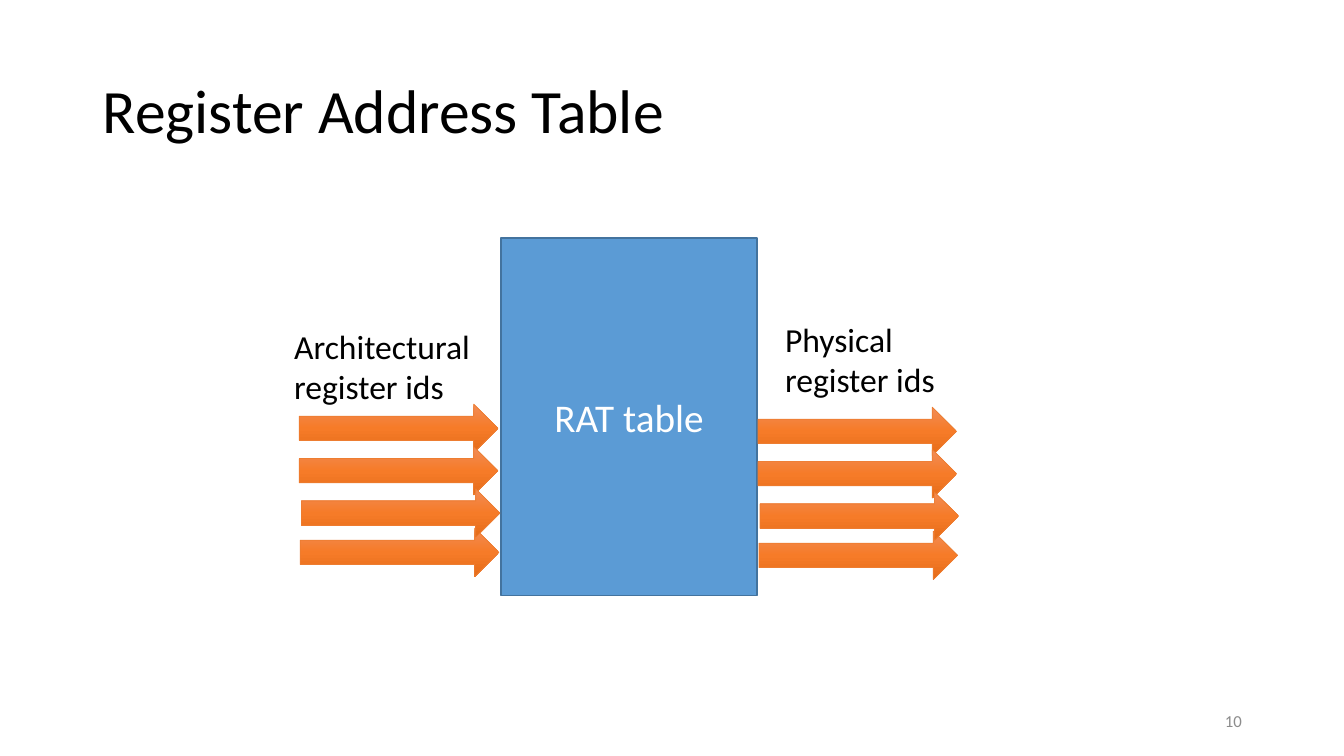
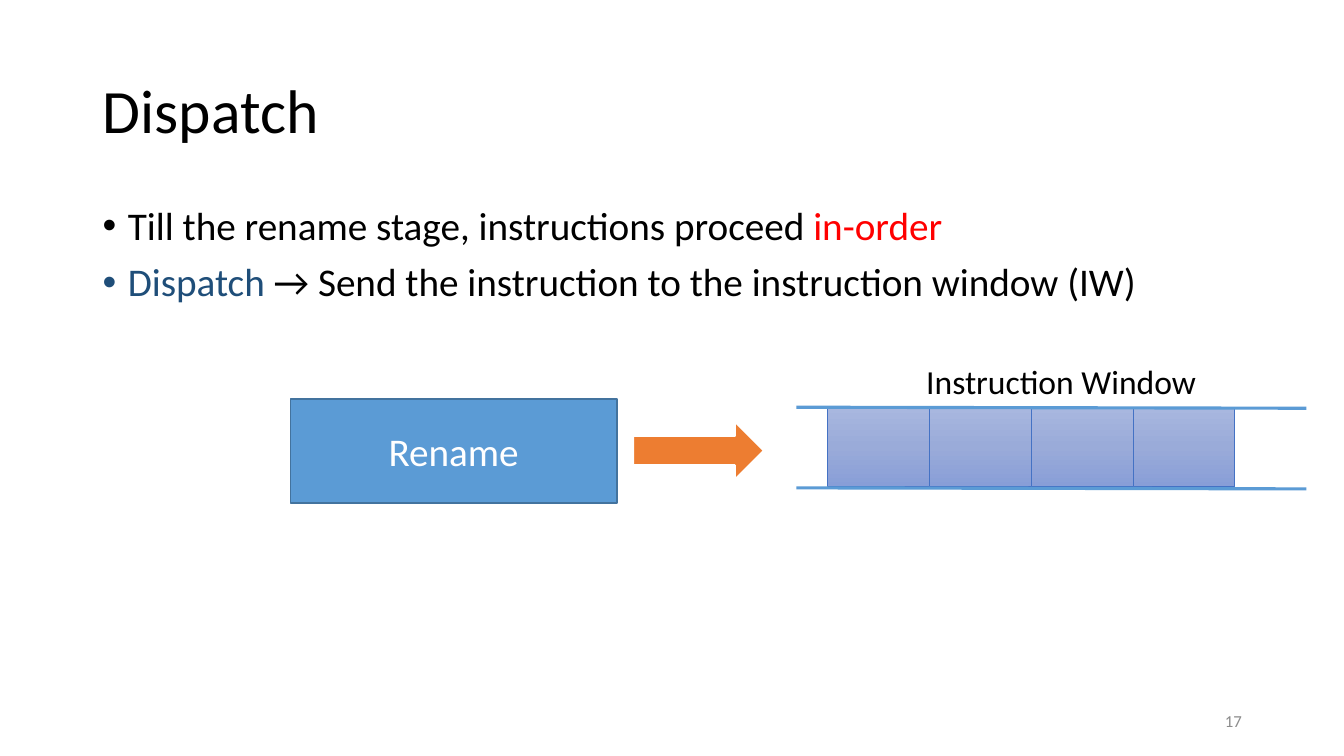
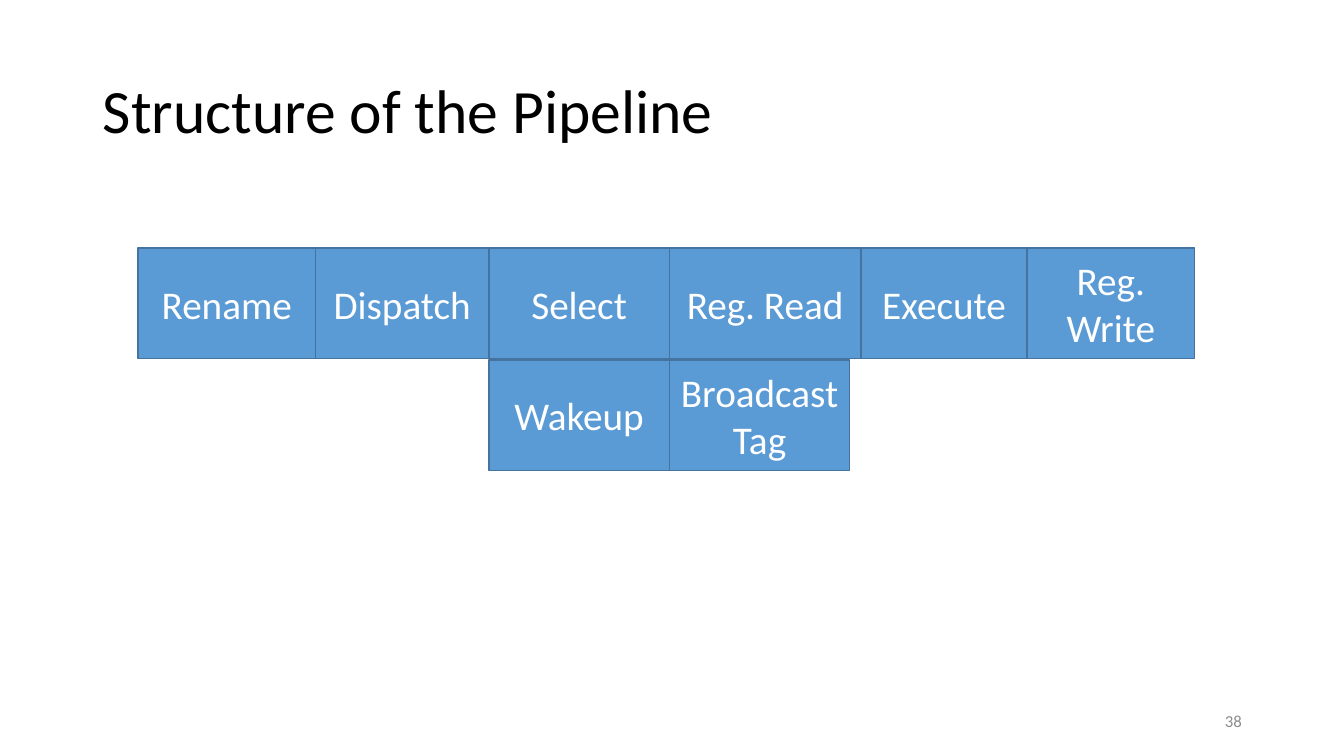
from dataclasses import dataclass

from lxml import etree
from pptx import Presentation
from pptx.dml.color import RGBColor
from pptx.enum.shapes import MSO_CONNECTOR, MSO_SHAPE
from pptx.enum.text import MSO_ANCHOR, MSO_AUTO_SIZE, PP_ALIGN
from pptx.oxml.ns import qn
from pptx.util import Emu, Pt

RECT = MSO_SHAPE.RECTANGLE
ARROW = MSO_SHAPE.RIGHT_ARROW
STRAIGHT = MSO_CONNECTOR.STRAIGHT
LEFT, CENTER, RIGHT = PP_ALIGN.LEFT, PP_ALIGN.CENTER, PP_ALIGN.RIGHT
TOP, MIDDLE = MSO_ANCHOR.TOP, MSO_ANCHOR.MIDDLE
NO_FIT, FIT_SHAPE = MSO_AUTO_SIZE.NONE, MSO_AUTO_SIZE.SHAPE_TO_FIT_TEXT

EMU_PER_PX = 9144
SLIDE_SIZE = Emu(12192000), Emu(6858000)


@dataclass(frozen=True)
class Theme:
    font: str = "Calibri"
    black: str = "000000"
    white: str = "FFFFFF"
    grey: str = "8C8C8C"
    red: str = "FF0000"
    navy: str = "1F4E79"
    blue: str = "5B9BD5"
    blue_edge: str = "43739E"
    orange: str = "ED7D31"
    cell_edge: str = "4472C4"
    orange_fade: tuple[str, ...] = ("F18C57", "F67B28", "E56C19")
    cell_fade: tuple[str, ...] = ("A8B7DF", "9AABD9", "889ED7")
    title_size: int = 44
    body_size: int = 28
    label_size: int = 24
    number_size: int = 12


THEME = Theme()


@dataclass(frozen=True)
class Box:
    x: int
    y: int
    w: int
    h: int

    def emu(self) -> list[Emu]:
        return [px(v) for v in (self.x, self.y, self.w, self.h)]


@dataclass(frozen=True)
class Style:
    fill: str | tuple[str, ...]
    edge: str
    width: float


@dataclass(frozen=True)
class Span:
    text: str
    color: str = THEME.black


@dataclass(frozen=True)
class Stage:
    text: str
    width: int


BLOCK = Style(THEME.blue, THEME.blue_edge, 1)
REGISTER_ARROW = Style(THEME.orange_fade, THEME.orange, 0.5)
DISPATCH_ARROW = Style(THEME.orange, THEME.white, 1.5)
WINDOW_CELL = Style(THEME.cell_fade, THEME.cell_edge, 0.5)

TITLE = Box(92, 40, 1150, 145)
BODY = Box(92, 200, 1150, 139)
NUMBER = Box(942, 695, 300, 40)

ARROW_OFFSETS = (0, 0), (0, 42), (1, 123), (2, 84)
STAGE_HEIGHT = 110
MAIN_STAGES = (
    Stage("Rename", 176),
    Stage("Dispatch", 172),
    Stage("Select", 179),
    Stage("Reg. Read", 190),
    Stage("Execute", 165),
    Stage("Reg. Write", 166),
)
LOWER_STAGES = Stage("Wakeup", 179), Stage("Broadcast\nTag", 179)


def px(value: int) -> Emu:
    return Emu(value * EMU_PER_PX)


def rgb(color: str) -> RGBColor:
    return RGBColor.from_string(color)


def add_span(p, span: Span, size: int) -> None:
    for i, line in enumerate(span.text.split("\n")):
        if i:
            p.add_line_break()
        r = p.add_run()
        r.text = line
        r.font.name = THEME.font
        r.font.size = Pt(size)
        r.font.color.rgb = rgb(span.color)


def write(tf, text: str, *, size: int, color: str = THEME.black, align=LEFT,
          anchor=MIDDLE, wrap: bool = True, fit=NO_FIT, spacing: float = 1.0) -> None:
    tf.word_wrap = wrap
    tf.auto_size = fit
    tf.vertical_anchor = anchor
    p = tf.paragraphs[0]
    p.alignment = align
    p.line_spacing = spacing
    add_span(p, Span(text, color), size)


def add_slide(prs, title: str, number: int):
    slide = prs.slides.add_slide(prs.slide_layouts[5])
    s = slide.shapes.title
    s.left, s.top, s.width, s.height = TITLE.emu()
    write(s.text_frame, title, size=THEME.title_size, spacing=0.9)
    s = slide.shapes.add_textbox(*NUMBER.emu())
    write(s.text_frame, str(number), size=THEME.number_size, color=THEME.grey, align=RIGHT)
    return slide


def fade(s, colors: tuple[str, ...]) -> None:
    s.fill.gradient()
    s.fill.gradient_angle = 270
    stops = s._element.spPr.find(qn("a:gradFill")).find(qn("a:gsLst"))
    for stop in list(stops):
        stops.remove(stop)
    for i, color in enumerate(colors):
        pos = str(100000 * i // (len(colors) - 1))
        stop = etree.SubElement(stops, qn("a:gs"), pos=pos)
        etree.SubElement(stop, qn("a:srgbClr"), val=color)


def add_shape(slide, kind, box: Box, style: Style, text: str = "") -> None:
    s = slide.shapes.add_shape(kind, *box.emu())
    s.shadow.inherit = False
    if isinstance(style.fill, tuple):
        fade(s, style.fill)
    else:
        s.fill.solid()
        s.fill.fore_color.rgb = rgb(style.fill)
    s.line.color.rgb = rgb(style.edge)
    s.line.width = Pt(style.width)
    if text:
        write(s.text_frame, text, size=THEME.body_size, color=THEME.white, align=CENTER)


def add_label(slide, box: Box, text: str) -> None:
    s = slide.shapes.add_textbox(*box.emu())
    write(s.text_frame, text, size=THEME.label_size, anchor=TOP, wrap=False, fit=FIT_SHAPE)


def add_line(slide, x1: int, y1: int, x2: int, y2: int) -> None:
    s = slide.shapes.add_connector(STRAIGHT, px(x1), px(y1), px(x2), px(y2))
    s.line.color.rgb = rgb(THEME.blue)
    s.line.width = Pt(2.25)
    etree.SubElement(s._element.spPr, qn("a:effectLst"))


def add_bullets(slide, items: tuple[tuple[Span, ...], ...]) -> None:
    tf = slide.shapes.add_textbox(*BODY.emu()).text_frame
    tf.word_wrap = True
    for i, spans in enumerate(items):
        p = tf.add_paragraph() if i else tf.paragraphs[0]
        pPr = p._p.get_or_add_pPr()
        pPr.set("marL", str(px(25)))
        pPr.set("indent", str(px(-25)))
        etree.SubElement(pPr, qn("a:buFont"), typeface="Arial")
        etree.SubElement(pPr, qn("a:buChar"), char="•")
        p.line_spacing = 0.9
        if i:
            p.space_before = Pt(10)
        for span in spans:
            add_span(p, span, THEME.body_size)


def add_arrow_group(slide, x: int, y: int) -> None:
    for dx, dy in ARROW_OFFSETS:
        add_shape(slide, ARROW, Box(x + dx, y + dy, 197, 48), REGISTER_ARROW)


def add_stage_row(slide, x: int, y: int, stages: tuple[Stage, ...]) -> None:
    for stage in stages:
        add_shape(slide, RECT, Box(x, y, stage.width, STAGE_HEIGHT), BLOCK, stage.text)
        x += stage.width


def build_register_table(prs) -> None:
    slide = add_slide(prs, "Register Address Table", 10)
    add_shape(slide, RECT, Box(497, 236, 254, 355), BLOCK, "RAT table")
    add_label(slide, Box(282, 318, 196, 91), "Architectural\nregister ids")
    add_label(slide, Box(769, 311, 170, 91), "Physical\nregister ids")
    add_arrow_group(slide, 297, 401)
    add_arrow_group(slide, 752, 404)


def build_dispatch(prs) -> None:
    slide = add_slide(prs, "Dispatch", 17)
    add_bullets(slide, (
        (Span("Till the rename stage, instructions proceed "), Span("in-order", THEME.red)),
        (Span("Dispatch ", THEME.navy),
         Span("→ Send the instruction to the instruction window (IW)")),
    ))
    add_shape(slide, RECT, Box(288, 396, 324, 103), BLOCK, "Rename")
    add_shape(slide, ARROW, Box(628, 418, 130, 58), DISPATCH_ARROW)
    cell_width = 101
    for i in range(4):
        add_shape(slide, RECT, Box(821 + i * cell_width, 404, cell_width, 79), WINDOW_CELL)
    add_label(slide, Box(909, 353, 291, 50), "Instruction Window")
    for y in (404, 484):
        add_line(slide, 790, y, 1296, y + 1)


def build_pipeline(prs) -> None:
    slide = add_slide(prs, "Structure of the Pipeline", 38)
    add_stage_row(slide, 137, 246, MAIN_STAGES)
    add_stage_row(slide, 485, 357, LOWER_STAGES)


def main() -> None:
    prs = Presentation()
    prs.slide_width, prs.slide_height = SLIDE_SIZE
    build_register_table(prs)
    build_dispatch(prs)
    build_pipeline(prs)
    prs.save("out.pptx")


if __name__ == "__main__":
    main()
